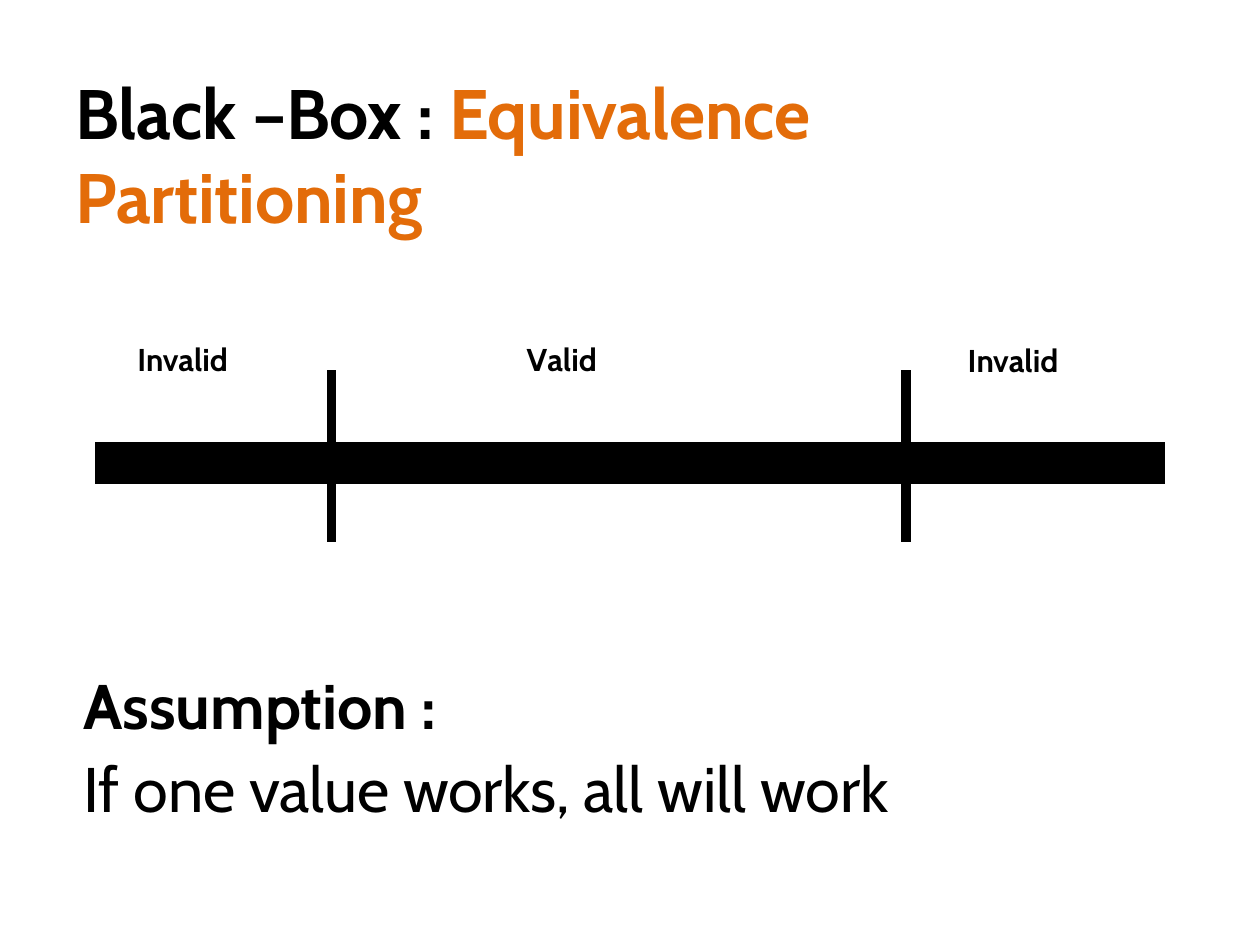
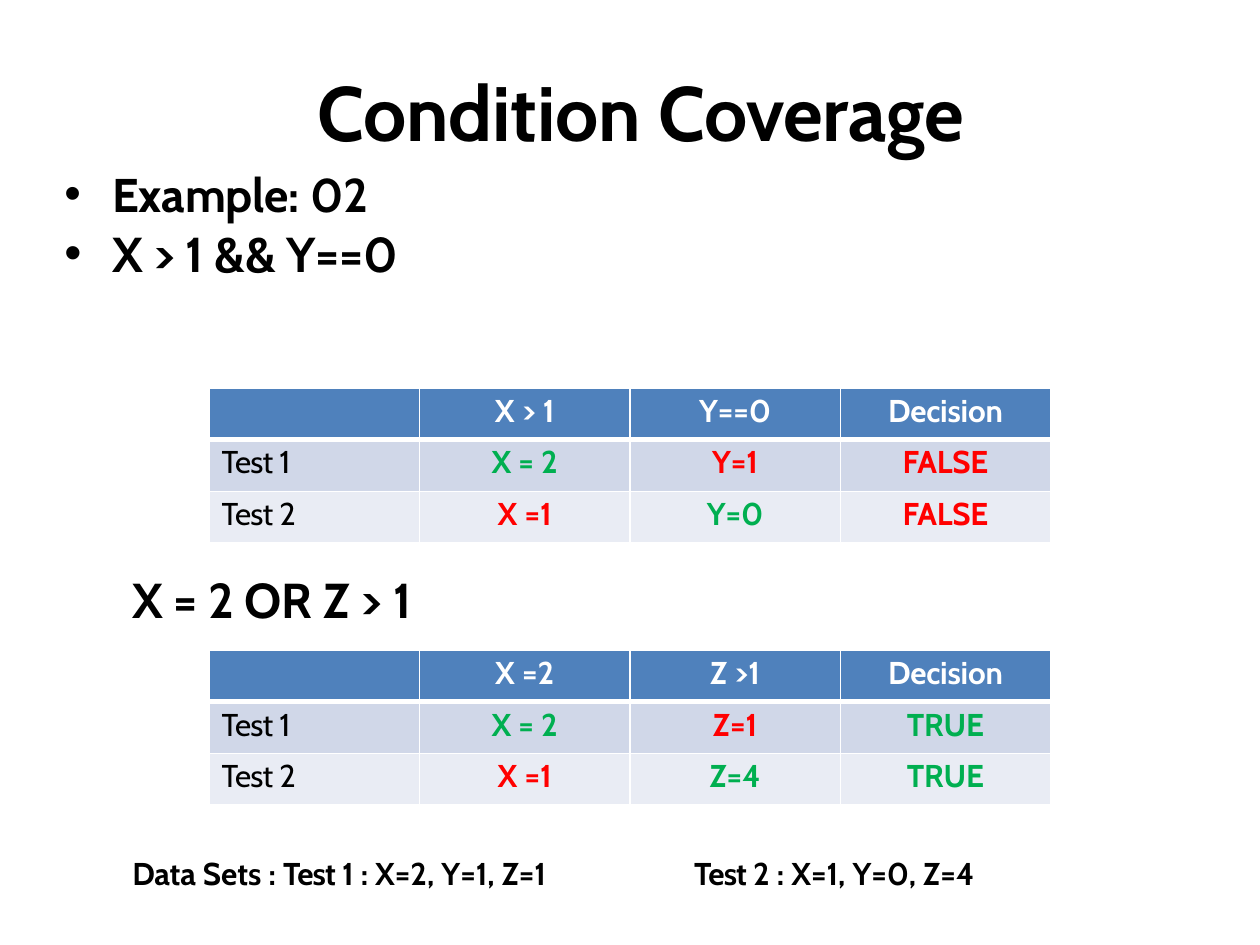
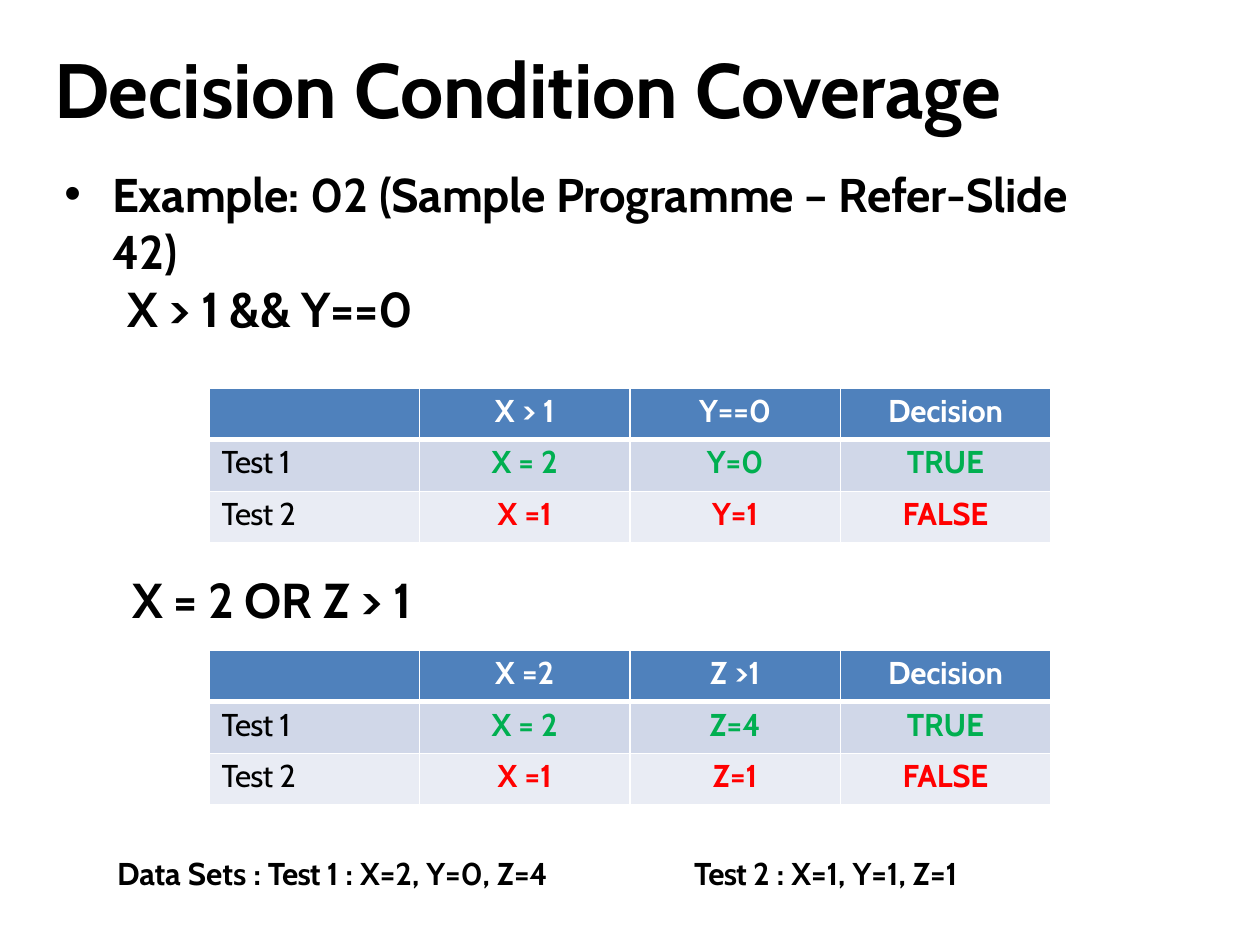
from lxml import etree
from pptx import Presentation
from pptx.dml.color import RGBColor
from pptx.enum.text import MSO_AUTO_SIZE, PP_ALIGN
from pptx.oxml.ns import qn
from pptx.util import Inches, Pt

LEFT, CENTER = PP_ALIGN.LEFT, PP_ALIGN.CENTER
GROW = MSO_AUTO_SIZE.SHAPE_TO_FIT_TEXT
FONT = "Cabin"
BLACK, WHITE, ORANGE = "000000", "FFFFFF", "E36C09"
GREEN, RED = "00AF50", "FF0000"
HEADER, BAND_DARK, BAND_LIGHT = "4F81BC", "D0D7E8", "E9ECF4"
PLAIN_STYLE = "{2D5ABB26-0587-4C30-8999-92F81FD0307C}"


def write(paragraph, runs, size=18, bold=True, color=BLACK, before=1,
          left=0.01, hang=0, bullet=False, align=LEFT):
    paragraph.alignment = align
    paragraph.space_before = Pt(before)
    properties = paragraph._p.get_or_add_pPr()
    properties.set("marL", str(Inches(left)))
    properties.set("indent", str(-Inches(hang)))
    if bullet:
        etree.SubElement(properties, qn("a:buFont")).set("typeface", "Arial")
        etree.SubElement(properties, qn("a:buChar")).set("char", "•")
    for text, spacing, *own_color in runs:
        run = paragraph.add_run()
        run.text = text
        run.font.name = FONT
        run.font.size = Pt(size)
        run.font.bold = bold
        run.font.color.rgb = RGBColor.from_string(own_color[0] if own_color else color)
        run._r.get_or_add_rPr().set("spc", str(round(spacing * 100)))


def style_cell(cell, fill, color, borders):
    if fill:
        cell.fill.solid()
        cell.fill.fore_color.rgb = RGBColor.from_string(fill)
    else:
        cell.fill.background()
    for position, (side, width) in enumerate(borders):
        line = etree.Element(qn(f"a:ln{side}"), w=str(Pt(width)))
        solid = etree.SubElement(line, qn("a:solidFill"))
        etree.SubElement(solid, qn("a:srgbClr")).set("val", color)
        cell._tc.get_or_add_tcPr().insert(position, line)


prs = Presentation()
prs.slide_width, prs.slide_height = Inches(10), Inches(7.5)
partitioning, condition, decision = [
    prs.slides.add_slide(prs.slide_layouts[6]) for _ in range(3)]

invalid = [dict(runs=[("I", 0), ("nv", -0.2), ("alid", 0)])]
valid = [dict(runs=[("V", -0.9), ("alid", 0)])]
first_condition = dict(runs=[("X > 1 && Y==0", -0.1)], size=28)
second_condition = [dict(runs=[("X = 2 OR Z > 1", -0.1)], size=28)]
bulleted = dict(left=0.39, hang=0.38, bullet=True)

blocks = [
    (partitioning, 0.59, 0.54, 8.5, 0.69, 0.01, [dict(
        runs=[("Black ", -0.1), ("–Box ", -0.2), (": ", -0.1),
              ("Equivalence Partitioning", -0.1, ORANGE)], size=40)]),
    (partitioning, 0.65, 5.22, 8.27, 1.35, 0.07, [
        dict(runs=[("Assumption :", 0)], size=36, before=5.3),
        dict(runs=[("If ", 0), ("one value ", -0.1), ("works, ", -0.2),
                   ("all will ", 0), ("work", -0.1)],
             size=36, bold=False, before=4.3)]),
    (partitioning, 1.08, 2.69, 1.01, 0.33, 0.01, invalid),
    (partitioning, 4.17, 2.69, 0.84, 0.32, 0.01, valid),
    (partitioning, 7.67, 2.7, 1.01, 0.32, 0.01, invalid),
    (condition, 2.51, 0.5, 6.57, 0.76, 0.01, [dict(
        runs=[("Condition ", -0.1), ("Coverage", -0.2)], size=44)]),
    (condition, 0.5, 1.3, 8.18, 0.95, 0.01, [
        dict(runs=[("Example: ", -0.1), ("02", 0)], size=27, **bulleted),
        dict(first_condition, **bulleted)]),
    (decision, 0.42, 0.32, 9.42, 0.76, 0.01, [dict(
        runs=[("Decision Condition ", -0.1), ("Coverage", -0.2)], size=44)]),
    (decision, 0.5, 1.3, 8.18, 1.39, 0.01, [
        dict(runs=[("Example: ", -0.1), ("02 ", 0), ("(Sample Programme ", -0.1),
                   ("– ", 0), ("Refer-Slide ", -0.1), ("42)", 0)],
             size=27, **bulleted),
        dict(first_condition, left=0.51, before=0.1)]),
]
for slide, data_left, first_values, first_z, second_values in [
        (condition, 1.04, "1 : X=2, Y=1, ", "Z=1", "2 : X=1, Y=0, Z=4"),
        (decision, 0.92, "1 : X=2, Y=0, ", "Z=4", "2 : X=1, Y=1, Z=1")]:
    blocks += [
        (slide, 1.04, 4.51, 3.12, 0.49, 0.01, second_condition),
        (slide, data_left, 6.77, 4.21, 0.32, 0.01, [dict(
            runs=[("Data ", -0.1), ("Sets : ", 0), ("Test ", -0.5),
                  (first_values, 0), (first_z, -0.1)])]),
        (slide, 5.5, 6.77, 3.33, 0.32, 0.01, [dict(
            runs=[("Test ", -0.5), (second_values, 0)])]),
    ]

for slide, left, top, width, height, inset, paragraphs in blocks:
    frame = slide.shapes.add_textbox(
        Inches(left), Inches(top), Inches(width), Inches(height)).text_frame
    frame.word_wrap = True
    frame.auto_size = GROW
    frame.margin_left = frame.margin_right = frame.margin_bottom = 0
    frame.margin_top = Inches(inset)
    for number, content in enumerate(paragraphs):
        write(frame.add_paragraph() if number else frame.paragraphs[0], **content)

first_header = ["", "X > 1", "Y==0", "Decision"]
second_header = ["", "X =2", "Z >1", "Decision"]
blank_rows = [[""] * 3] * 3
coverage_size = [1.67] * 4, [0.41] * 3
tables = [
    (partitioning, 0.75, 2.94, [1.88, 4.56, 2.06], [0.57, 0.33, 0.46], blank_rows, ""),
    (condition, 1.66, 3.08, *coverage_size,
     [first_header, ["1", "X = 2", "Y=1", "FALSE"], ["2", "X =1", "Y=0", "FALSE"]],
     ["TFF", "FTF"]),
    (condition, 1.66, 5.16, *coverage_size,
     [second_header, ["1", "X = 2", "Z=1", "TRUE"], ["2", "X =1", "Z=4", "TRUE"]],
     ["TFT", "FTT"]),
    (decision, 1.66, 3.08, *coverage_size,
     [first_header, ["1", "X = 2", "Y=0", "TRUE"], ["2", "X =1", "Y=1", "FALSE"]],
     ["TTT", "FFF"]),
    (decision, 1.66, 5.16, *coverage_size,
     [second_header, ["1", "X = 2", "Z=4", "TRUE"], ["2", "X =1", "Z=1", "FALSE"]],
     ["TTT", "FFF"]),
]

for slide, left, top, widths, heights, rows, outcomes in tables:
    table = slide.shapes.add_table(
        len(heights), len(widths), Inches(left), Inches(top),
        Inches(sum(widths)), Inches(sum(heights))).table
    table.first_row = table.horz_banding = False
    table._tbl.tblPr.find(qn("a:tableStyleId")).text = PLAIN_STYLE
    for column, width in zip(table.columns, widths):
        column.width = Inches(width)
    for r, (height, texts) in enumerate(zip(heights, rows)):
        table.rows[r].height = Inches(height)
        for c, text in enumerate(texts):
            cell = table.cell(r, c)
            cell.margin_left = cell.margin_right = cell.margin_bottom = 0
            cell.margin_top = Inches(0.03) if outcomes else 0
            if not outcomes:
                sides = [("L", 6)] * (c > 0) + [("R", 6)] * (c < 2)
                style_cell(cell, BLACK if r == 1 else None, BLACK, [] if r == 1 else sides)
                continue
            style_cell(cell, [HEADER, BAND_DARK, BAND_LIGHT][r], WHITE,
                       [("L", 1), ("R", 1), ("T", 3 if r == 1 else 1),
                        ("B", 3 if r == 0 else 1)])
            paragraph = cell.text_frame.paragraphs[0]
            if c == 0 and r:
                write(paragraph, [("Test ", -0.5), (text, 0)], bold=False,
                      before=2.5, left=0.1)
            elif text:
                color = WHITE if r == 0 else GREEN if outcomes[r - 1][c - 1] == "T" else RED
                write(paragraph, [(text, -0.1 if c == 3 else 0)], color=color,
                      before=2.5, left=0, align=CENTER)

prs.save("out.pptx")
